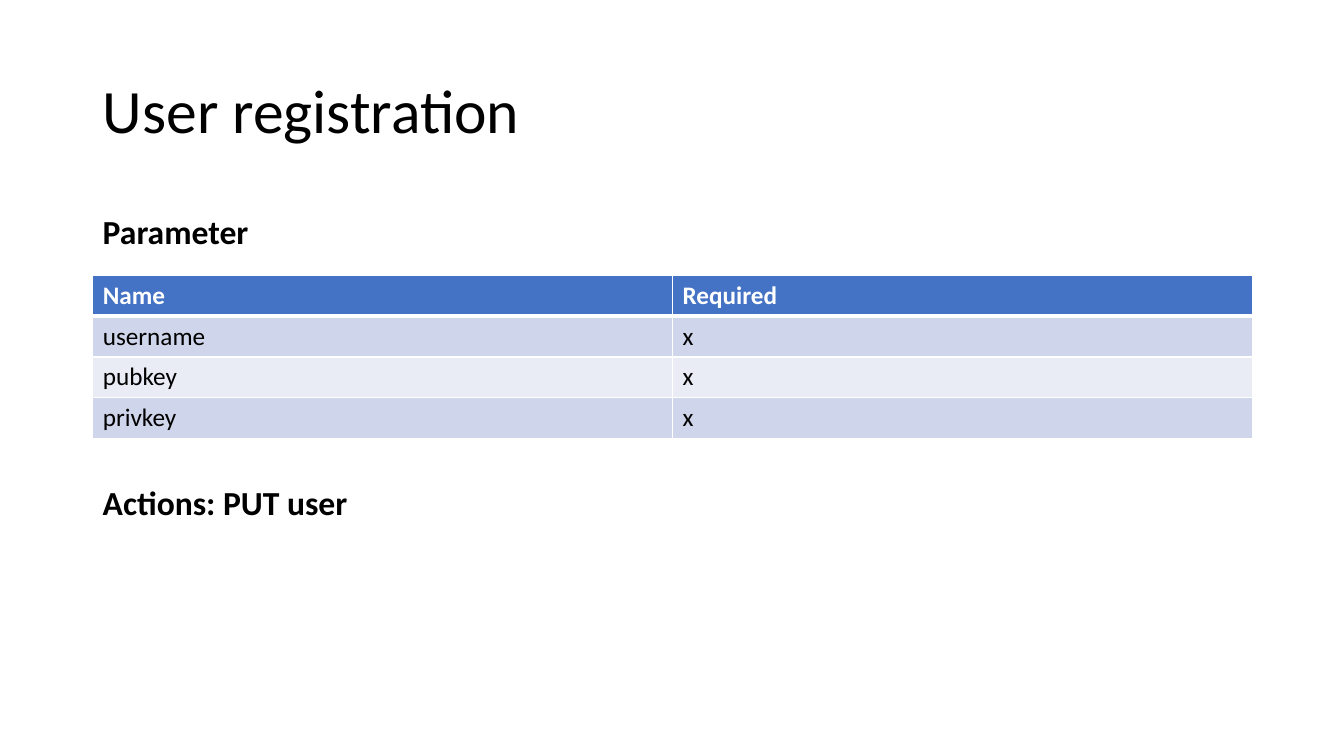
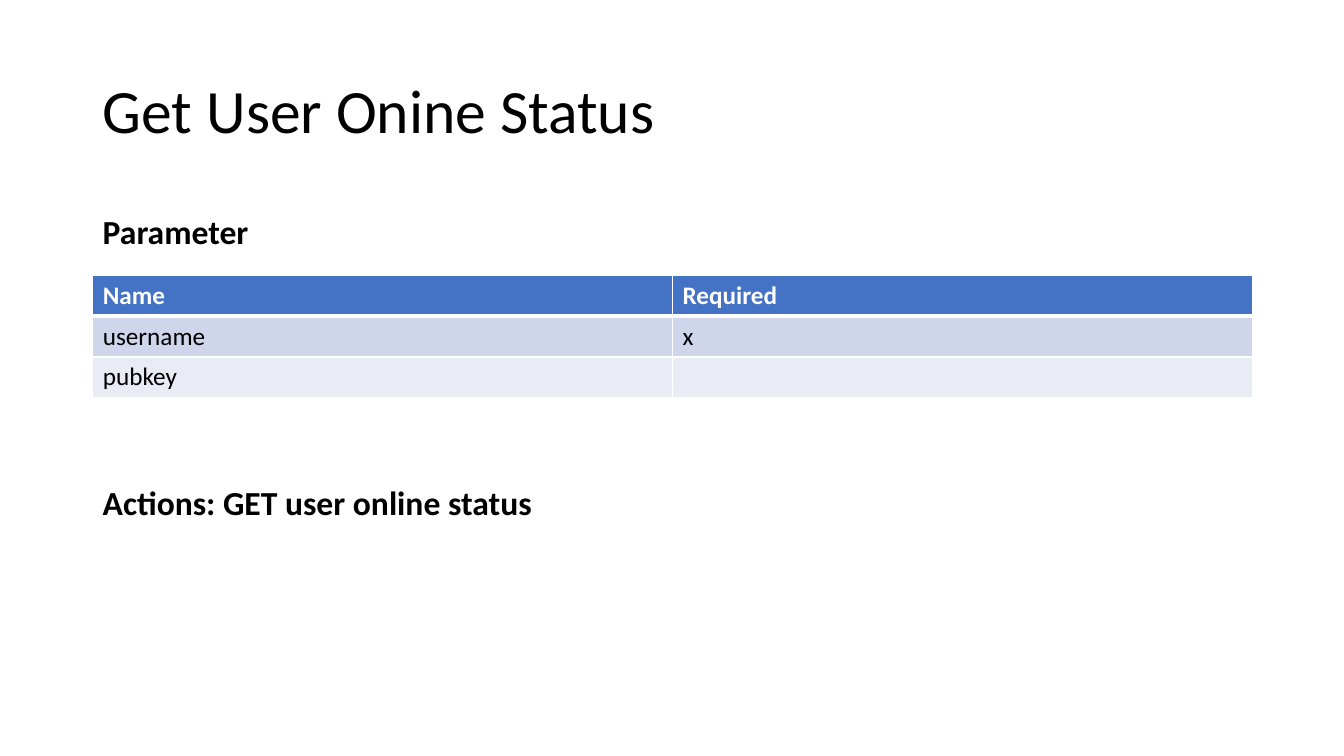
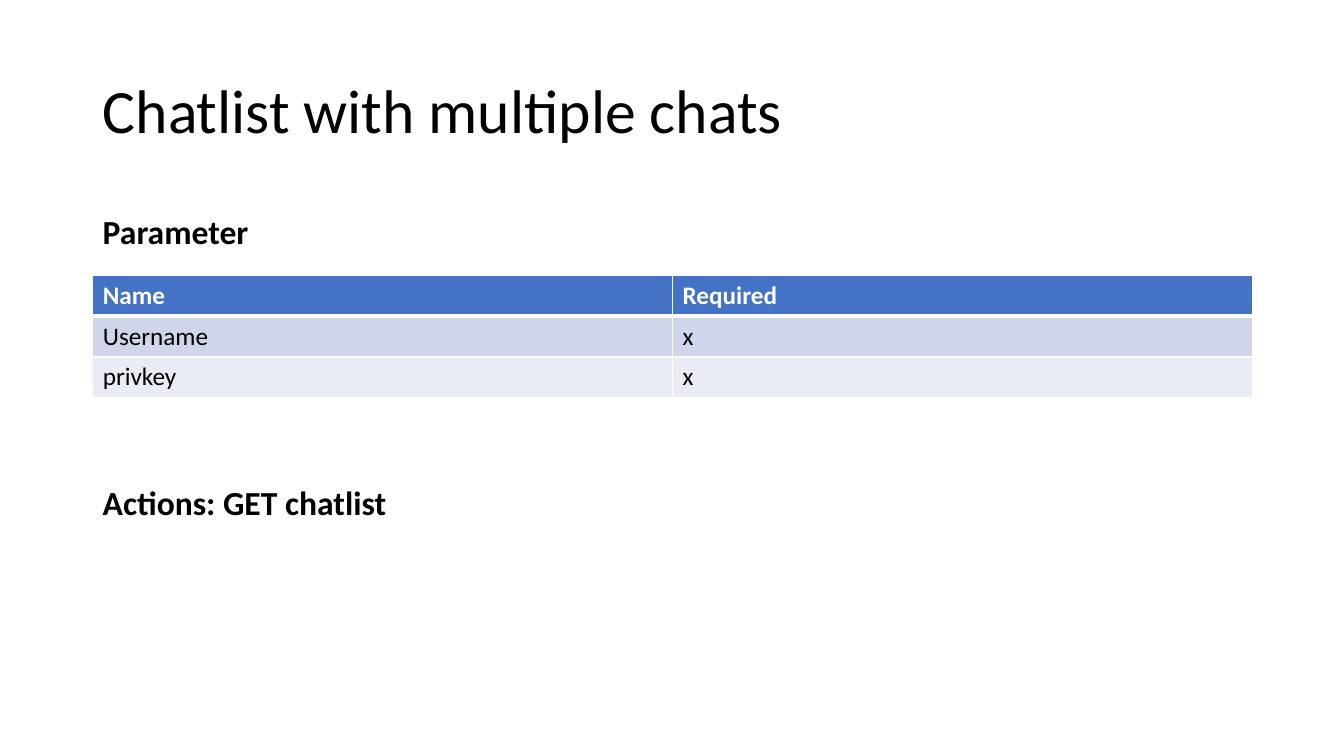
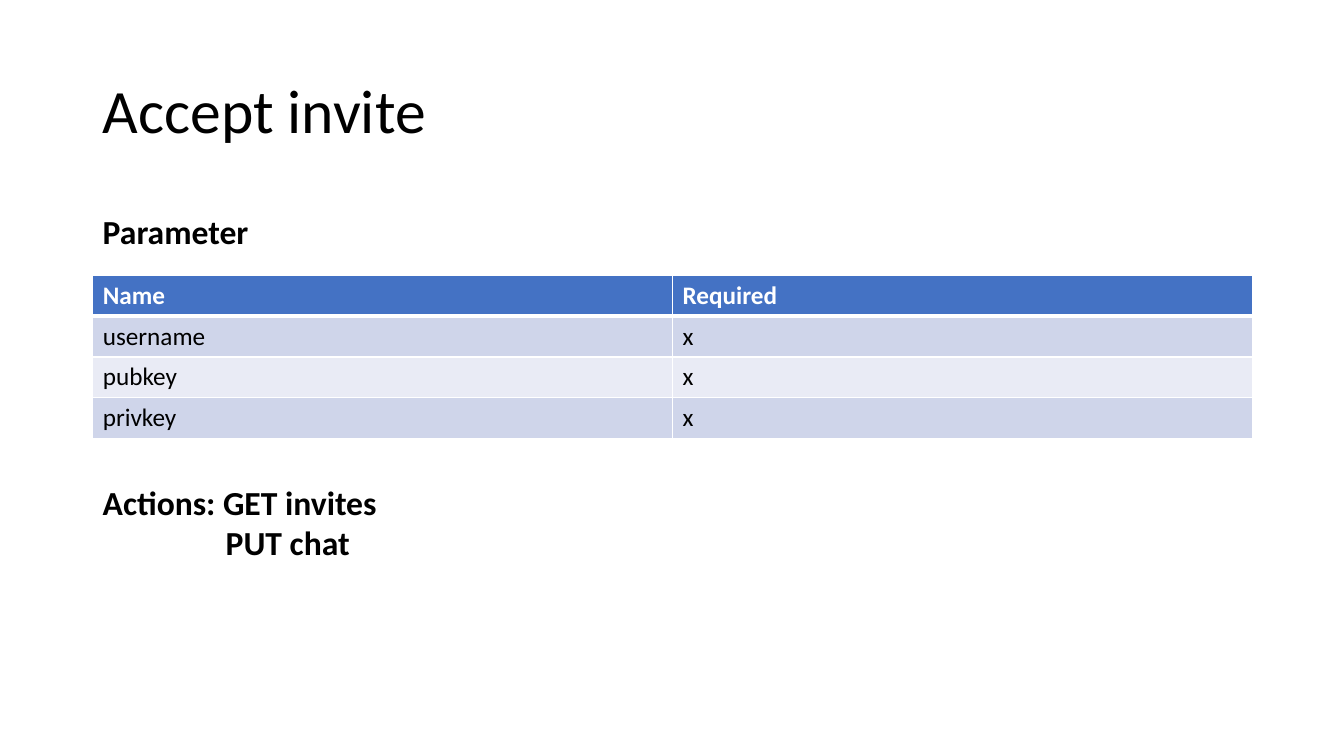
from pptx import Presentation
from pptx import util as u
from pptx.dml.color import RGBColor
from pptx.enum import text
from pptx.oxml.xmlchemy import OxmlElement

COLORS = {
    "text": "000000",
    "white": "FFFFFF",
    "header": "4472C4",
    "band_dark": "CFD5EA",
    "band_light": "E9EBF5",
}
FONT = "Calibri"
LEFT, WIDTH = 0.92, 11.5
ROW_H = 1.62 / 4
LABEL_W, LABEL_H, LINE_H = 3.45, 0.5, 0.41

SLIDES = [
    ("User registration",
     [("username", "x"), ("pubkey", "x"), ("privkey", "x")],
     ["Actions: PUT user"], LABEL_W),
    ("Get User Onine Status",
     [("username", "x"), ("pubkey", "")],
     ["Actions: GET user online status"], 4.49),
    ("Chatlist with multiple chats",
     [("Username", "x"), ("privkey", "x")],
     ["Actions: GET chatlist"], LABEL_W),
    ("Accept invite",
     [("username", "x"), ("pubkey", "x"), ("privkey", "x")],
     ["Actions: GET invites", "PUT chat"], LABEL_W),
]


def write(p, content, size=18, bold=False, color="text", indent=0, spacing=None):
    if indent:
        p._p.get_or_add_pPr().set("marL", str(u.Inches(indent)))
    p.alignment = text.PP_ALIGN.LEFT
    p.line_spacing = spacing
    p.font.size = u.Pt(size)
    if content:
        r = p.add_run()
        r.text = content
        r.font.name = FONT
        r.font.size = u.Pt(size)
        r.font.bold = bold
        r.font.color.rgb = RGBColor.from_string(COLORS[color])


def add_border(cell, side, width):
    ln = OxmlElement(f"a:{side}")
    ln.set("w", str(u.Pt(width)))
    fill = OxmlElement("a:solidFill")
    clr = OxmlElement("a:srgbClr")
    clr.set("val", COLORS["white"])
    fill.append(clr)
    ln.append(fill)
    cell._tc.get_or_add_tcPr().append(ln)


prs = Presentation()
prs.slide_width, prs.slide_height = u.Inches(13.33), u.Inches(7.5)

for title, params, actions, action_w in SLIDES:
    s = prs.slides.add_slide(prs.slide_layouts[5])
    sp = s.shapes.title
    sp.left, sp.top = u.Inches(LEFT), u.Inches(0.4)
    sp.width, sp.height = u.Inches(WIDTH), u.Inches(1.45)
    sp.text_frame.vertical_anchor = text.MSO_ANCHOR.MIDDLE
    write(sp.text_frame.paragraphs[0], title, size=44, spacing=0.9)

    rows = [("Name", "Required"), *params]
    table = s.shapes.add_table(
        len(rows), 2, u.Inches(LEFT), u.Inches(2.73),
        u.Inches(WIDTH), u.Inches(ROW_H * len(rows))).table
    for i, row in enumerate(rows):
        header = i == 0
        band = "header" if header else ("band_light", "band_dark")[i % 2]
        for j, value in enumerate(row):
            cell = table.cell(i, j)
            add_border(cell, "lnL", 1)
            add_border(cell, "lnR", 1)
            add_border(cell, "lnT", 3 if i == 1 else 1)
            add_border(cell, "lnB", 3 if header else 1)
            cell.fill.solid()
            cell.fill.fore_color.rgb = RGBColor.from_string(COLORS[band])
            write(cell.text_frame.paragraphs[0], value, bold=header,
                  color="white" if header else "text")

    for lines, top, width in ((["Parameter"], 2.04, LABEL_W), (actions, 4.73, action_w)):
        height = LABEL_H + LINE_H * (len(lines) - 1)
        tf = s.shapes.add_textbox(u.Inches(LEFT), u.Inches(top),
                                  u.Inches(width), u.Inches(height)).text_frame
        tf.word_wrap = True
        tf.auto_size = text.MSO_AUTO_SIZE.SHAPE_TO_FIT_TEXT
        for i, line in enumerate(lines):
            p = tf.add_paragraph() if i else tf.paragraphs[0]
            write(p, line, size=24, bold=True, indent=1.22 if i else 0)

prs.save("out.pptx")
